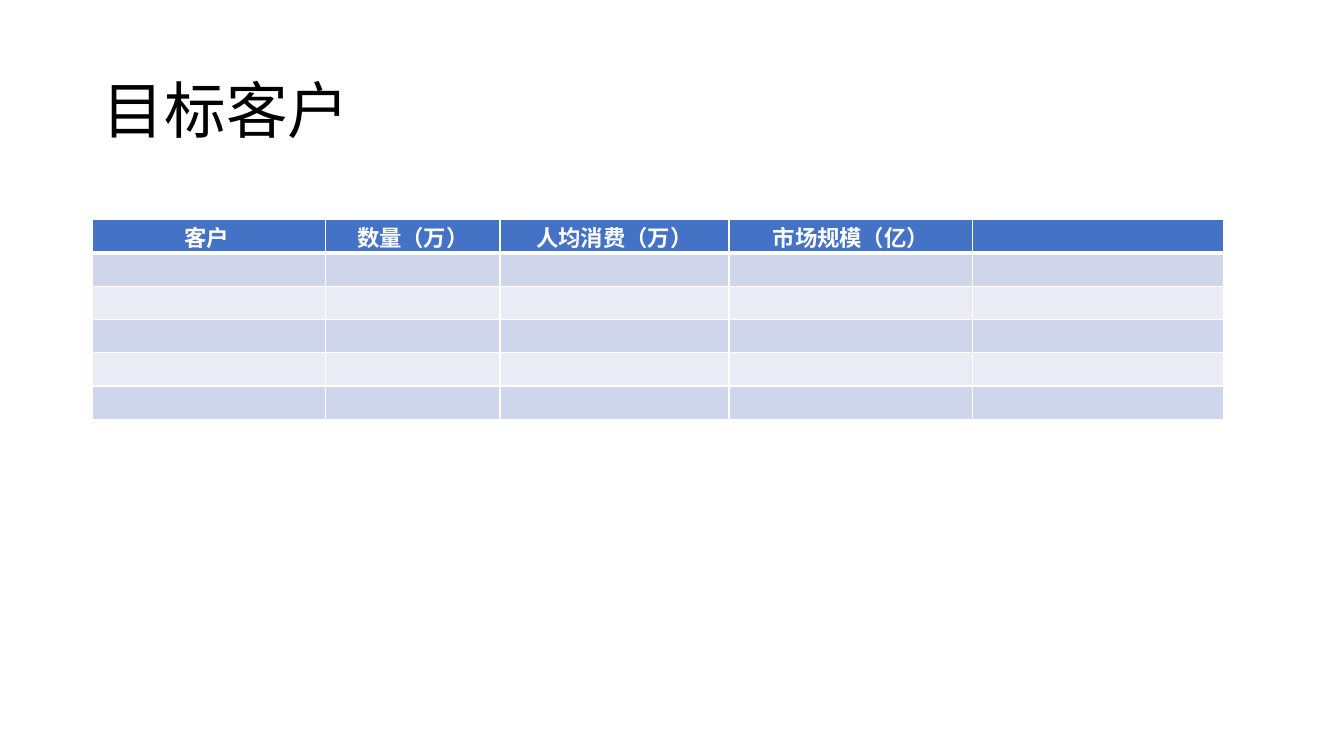
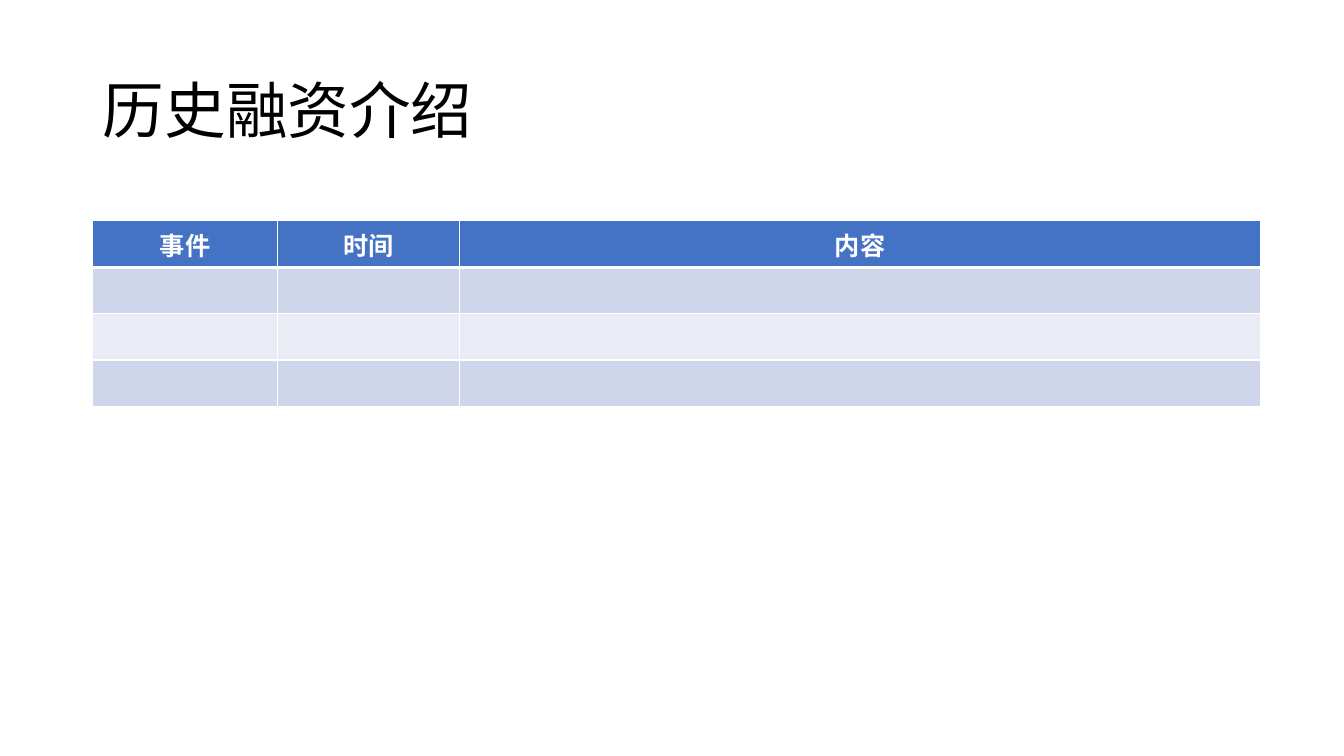
from dataclasses import dataclass

from lxml import etree
from pptx import Presentation
from pptx import util as u
from pptx.dml.color import RGBColor
from pptx.enum import text
from pptx.oxml import ns


@dataclass(frozen=True)
class Theme:
    font: str = "Noto Sans CJK SC"
    title_size: int = 44
    black: str = "000000"
    white: str = "FFFFFF"
    header: str = "4472C4"
    bands: tuple = ("CFD5EA", "E9EBF5")
    thin: int = 1
    thick: int = 3


@dataclass(frozen=True)
class TableStyle:
    size: int
    latin: str
    row_height: float
    margins: tuple
    anchor: text.MSO_ANCHOR


THEME = Theme()
COMPACT = TableStyle(16, "Arial", 0.33, (0.01, 0.01, 0.01, 0),
                     text.MSO_ANCHOR.BOTTOM)
ROOMY = TableStyle(18, THEME.font, 0.46, (0.1, 0.05, 0.1, 0.05),
                   text.MSO_ANCHOR.TOP)
TITLE_BOX = (0.92, 0.4, 11.5, 1.45)


def format_run(r, size, latin, color, bold=False):
    r.font.size = u.Pt(size)
    r.font.name = latin
    r.font.bold = bold
    r.font.color.rgb = RGBColor.from_string(color)
    ea = etree.SubElement(r.font._element, ns.qn("a:ea"))
    ea.set("typeface", THEME.font)


def add_title(s, box, title):
    sp = s.shapes.title
    sp.left, sp.top, sp.width, sp.height = map(u.Inches, box)
    tf = sp.text_frame
    tf.text = title
    tf.auto_size = text.MSO_AUTO_SIZE.NONE
    tf.vertical_anchor = text.MSO_ANCHOR.MIDDLE
    p = tf.paragraphs[0]
    p.alignment = text.PP_ALIGN.LEFT
    p.line_spacing = 0.9
    format_run(p.runs[0], THEME.title_size, THEME.font, THEME.black)


def set_borders(cell, top, bottom):
    tc_pr = cell._tc.get_or_add_tcPr()
    widths = {"L": THEME.thin, "R": THEME.thin, "T": top, "B": bottom}
    for side, width in widths.items():
        ln = etree.SubElement(tc_pr, ns.qn(f"a:ln{side}"), w=str(u.Pt(width)))
        fill = etree.SubElement(ln, ns.qn("a:solidFill"))
        etree.SubElement(fill, ns.qn("a:srgbClr"), val=THEME.white)


def format_cell(cell, row, style):
    set_borders(cell,
                top=THEME.thick if row == 1 else THEME.thin,
                bottom=THEME.thick if row == 0 else THEME.thin)
    cell.fill.solid()
    color = THEME.bands[(row - 1) % 2] if row else THEME.header
    cell.fill.fore_color.rgb = RGBColor.from_string(color)
    (cell.margin_left, cell.margin_top,
     cell.margin_right, cell.margin_bottom) = map(u.Inches, style.margins)
    cell.vertical_anchor = style.anchor
    p = cell.text_frame.paragraphs[0]
    p.alignment = text.PP_ALIGN.CENTER
    for r in p.runs:
        format_run(r, style.size, style.latin, THEME.white, bold=True)
    if not p.runs:
        etree.SubElement(p._p, ns.qn("a:endParaRPr"), sz=str(style.size * 100))


def add_banded_table(s, left, top, headers, widths, body_rows, style):
    rows = body_rows + 1
    table = s.shapes.add_table(
        rows, len(headers), u.Inches(left), u.Inches(top),
        u.Inches(sum(widths)), u.Inches(rows * style.row_height)).table
    for col, width in zip(table.columns, widths):
        col.width = u.Inches(width)
    for cell, header in zip(table.rows[0].cells, headers):
        if header:
            cell.text_frame.text = header
    for i, row in enumerate(table.rows):
        row.height = u.Inches(style.row_height)
        for cell in row.cells:
            format_cell(cell, i, style)


def add_table_slide(prs, title, top, headers, widths, body_rows, style):
    s = prs.slides.add_slide(prs.slide_layouts[5])
    add_title(s, TITLE_BOX, title)
    add_banded_table(s, TITLE_BOX[0], top, headers, widths, body_rows, style)


prs = Presentation()
prs.slide_width, prs.slide_height = u.Inches(13.33), u.Inches(7.5)
add_table_slide(prs, "目标客户", 2.18,
                ["客户 ", "数量（万）", "人均消费（万）", "市场规模（亿）", ""],
                [2.31, 1.73, 2.27, 2.42, 2.49], 5, COMPACT)
add_table_slide(prs, "历史融资介绍", 2.19,
                ["事件", "时间", "内容"],
                [1.83, 1.81, 7.94], 3, ROOMY)
prs.save("out.pptx")
